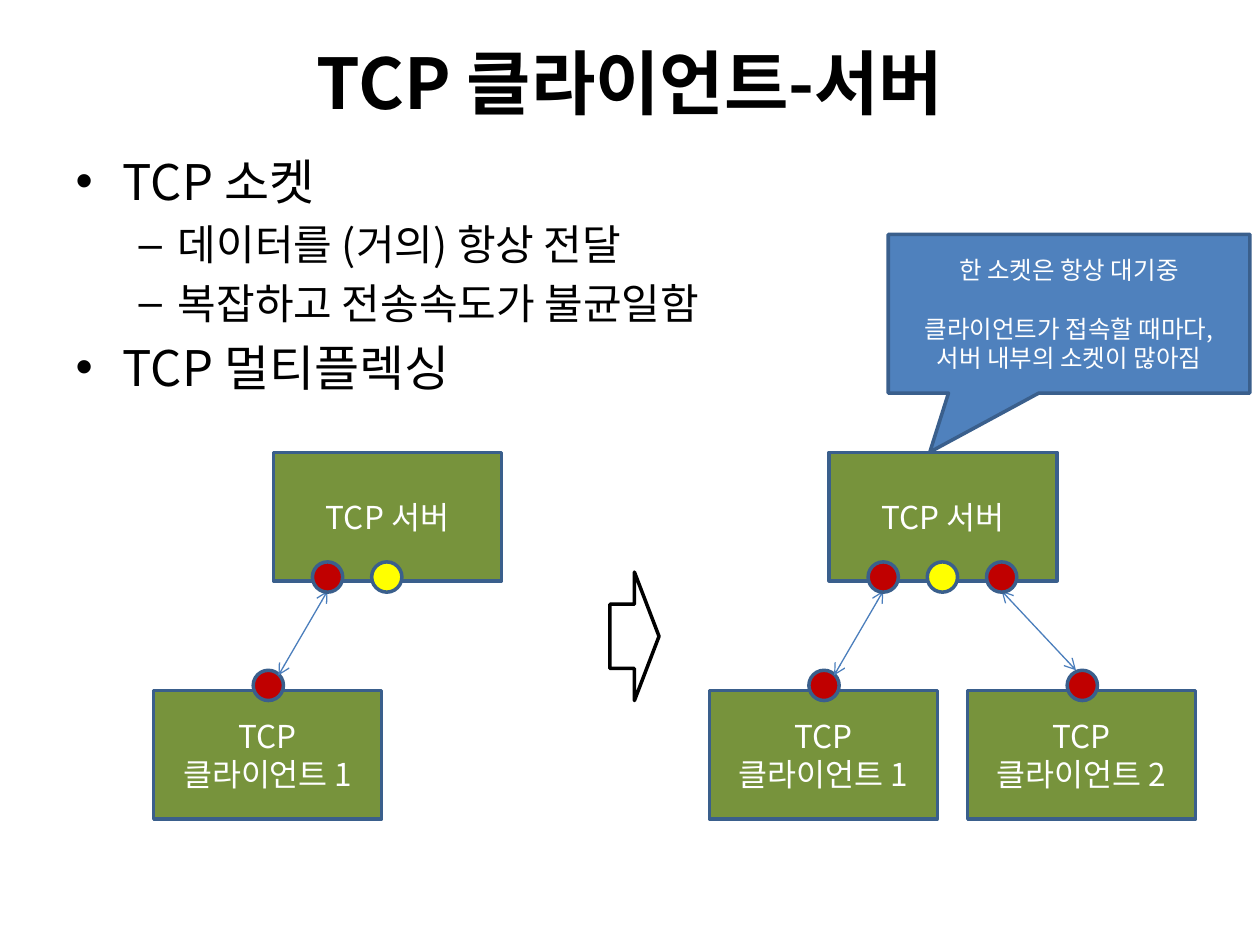
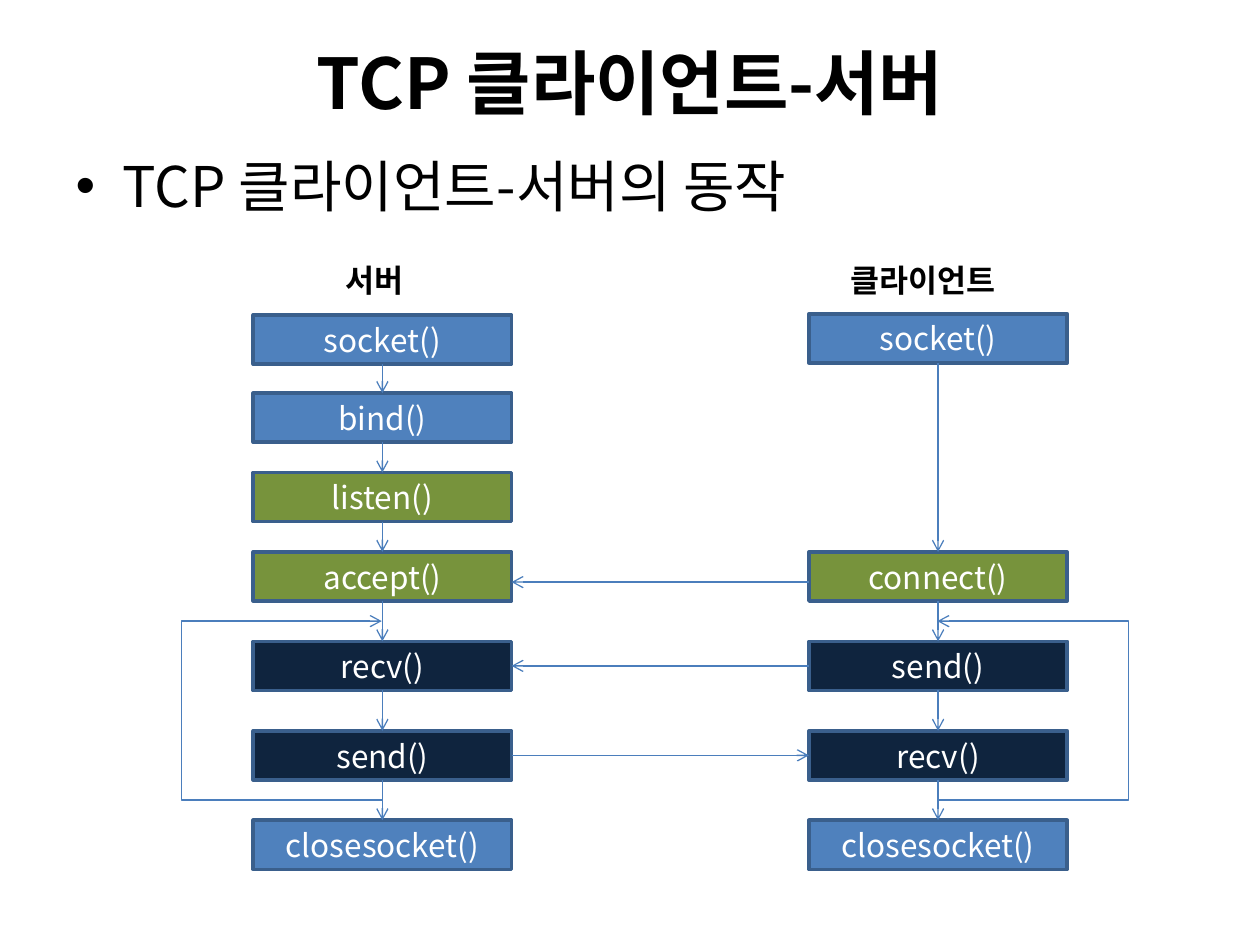
from pptx import Presentation
from pptx.dml.color import RGBColor
from pptx.enum.shapes import MSO_CONNECTOR as Link, MSO_SHAPE as Shape
from pptx.enum.text import MSO_ANCHOR as Anchor, MSO_AUTO_SIZE as Fit, PP_ALIGN as Align
from pptx.oxml.ns import qn
from pptx.util import Inches, Pt
from lxml.etree import SubElement

FONT = "Noto Sans CJK KR"
BLUE, GREEN, NAVY = "4F81BD", "77933C", "0F243E"
RED, YELLOW = "C00000", "FFFF00"
EDGE, WIRE = "3A5F8C", "4B7EBC"
WHITE, BLACK = "FFFFFF", "000000"
TITLE = "TCP 클라이언트-서버"


def color(code):
    return RGBColor.from_string(code)


def write(frame, lines, size=18, ink=WHITE, bold=False, align=Align.CENTER, gap=None):
    frame.word_wrap = True
    for i, line in enumerate(lines):
        par = frame.paragraphs[0] if i == 0 else frame.add_paragraph()
        text, level, pts = line if isinstance(line, tuple) else (line, 0, size)
        par.level = level
        par.alignment = align
        if gap and i:
            par.space_before = Pt(gap)
        run = par.add_run()
        run.text = text
        font = run.font
        font.name, font.size, font.bold = FONT, Pt(pts), bold
        font.color.rgb = color(ink)
        SubElement(font._element, qn("a:ea"), typeface=FONT)


def draw(slide, kind, x, y, w, h, fill=None, edge=EDGE, lines=(), **style):
    shape = slide.shapes.add_shape(kind, Inches(x), Inches(y), Inches(w), Inches(h))
    shape.shadow.inherit = False
    if fill:
        shape.fill.solid()
        shape.fill.fore_color.rgb = color(fill)
    else:
        shape.fill.background()
    shape.line.color.rgb = color(edge)
    shape.line.width = Pt(2)
    shape.text_frame.vertical_anchor = Anchor.MIDDLE
    write(shape.text_frame, lines, **style)
    return shape


def wire(slide, start, end, kind=Link.STRAIGHT, head=False, tail=True):
    line = slide.shapes.add_connector(kind, *map(Inches, start + end))
    line.line.color.rgb = color(WIRE)
    line.line.width = Pt(0.75)
    props = line._element.spPr
    SubElement(props, qn("a:effectLst"))
    ends = props.find(qn("a:ln"))
    for show, tag in ((head, "a:headEnd"), (tail, "a:tailEnd")):
        if show:
            SubElement(ends, qn(tag), type="arrow")
    return line


def join(slide, first, out, last, into):
    line = wire(slide, (0, 0), (1, 1))
    line.begin_connect(first, out)
    line.end_connect(last, into)


def page(deck, points):
    slide = deck.slides.add_slide(deck.slide_layouts[1])
    title, body = slide.placeholders
    for holder, top, high in ((title, 0.3, 0.69), (body, 1.15, 5.55)):
        holder.left, holder.top = Inches(0.5), Inches(top)
        holder.width, holder.height = Inches(9), Inches(high)
        holder.text_frame.auto_size = Fit.NONE
    write(title.text_frame, [TITLE], size=40, ink=BLACK, bold=True)
    write(body.text_frame, points, ink=BLACK, align=Align.LEFT)
    return slide


def net(slide, x, y, count):
    def node(dx, dy, lines):
        draw(slide, Shape.RECTANGLE, x + dx, y + dy, 1.81, 1.02, GREEN, lines=lines)

    def dot(dx, dy, fill):
        draw(slide, Shape.OVAL, x + dx, y + dy, 0.24, 0.24, fill)

    routes = [((0.99, 1.77), (1.38, 1.1)), ((2.91, 1.73), (2.32, 1.1))]
    node(0.95, 0, ["TCP 서버"])
    for i in range(count):
        node(i * 2.05, 1.89, ["TCP", f"클라이언트 {i + 1}"])
        dot(0.79 + i * 2.05, 1.73, RED)
        (ax, ay), (bx, by) = routes[i]
        wire(slide, (x + ax, y + ay), (x + bx, y + by), head=True)
    for i, fill in enumerate([RED, YELLOW, RED][:count + 1]):
        dot(1.26 + i * 0.47, 0.87, fill)


def note(slide, x, y):
    lines = ["한 소켓은 항상 대기중", "클라이언트가 접속할 때마다, 서버 내부의 소켓이 많아짐"]
    box = draw(slide, Shape.RECTANGULAR_CALLOUT, x, y, 2.87, 1.26, BLUE,
               lines=lines, size=14, gap=17)
    box.adjustments[0], box.adjustments[1] = -0.385, 0.872


def lane(slide, x, name, inset, width, steps):
    label = slide.shapes.add_textbox(Inches(x + inset), Inches(2.02), Inches(width), Inches(0.4))
    write(label.text_frame, [name], ink=BLACK, bold=True, align=Align.LEFT)
    boxes = [draw(slide, Shape.RECTANGLE, x, y, 2.05, 0.39, fill, lines=[text])
             for text, y, fill in steps]
    for above, below in zip(boxes, boxes[1:]):
        join(slide, above, 2, below, 0)
    return boxes


def loop(slide, mid, side):
    low, high = 6.35, 4.93
    wire(slide, (mid, low), (side, low), tail=False)
    bend = wire(slide, (side, low), (mid, high), kind=Link.ELBOW)
    guides = bend._element.spPr.find(qn("a:prstGeom")).get_or_add_avLst()
    SubElement(guides, qn("a:gd"), name="adj1", fmla="val -1250")


def growth(deck):
    slide = page(deck, [("TCP 소켓", 0, 28), ("데이터를 (거의) 항상 전달", 1, 24),
                        ("복잡하고 전송속도가 불균일함", 1, 24), ("TCP 멀티플렉싱", 0, 28)])
    net(slide, 1.22, 3.59, 1)
    draw(slide, Shape.RIGHT_ARROW, 4.84, 4.54, 0.39, 1.02, edge=BLACK)
    net(slide, 5.63, 3.59, 2)
    note(slide, 7.05, 1.86)


def flow(deck):
    slide = page(deck, [("TCP 클라이언트-서버의 동작", 0, 32)])
    last = ("closesocket()", 6.51, BLUE)
    server = lane(slide, 2.01, "서버", 0.63, 0.79, [
        ("socket()", 2.5, BLUE), ("bind()", 3.12, BLUE), ("listen()", 3.75, GREEN),
        ("accept()", 4.38, GREEN), ("recv()", 5.09, NAVY), ("send()", 5.8, NAVY), last])
    client = lane(slide, 6.42, "클라이언트", 0.23, 1.57, [
        ("socket()", 2.49, BLUE), ("connect()", 4.38, GREEN),
        ("send()", 5.09, NAVY), ("recv()", 5.8, NAVY), last])
    wire(slide, (6.42, 4.62), (4.06, 4.62))
    join(slide, client[2], 1, server[4], 3)
    join(slide, server[5], 3, client[3], 1)
    loop(slide, 3.03, 1.46)
    loop(slide, 7.44, 8.94)


def main():
    deck = Presentation()
    deck.slide_width, deck.slide_height = Inches(10), Inches(7.5)
    growth(deck)
    flow(deck)
    deck.save("out.pptx")


if __name__ == "__main__":
    main()
